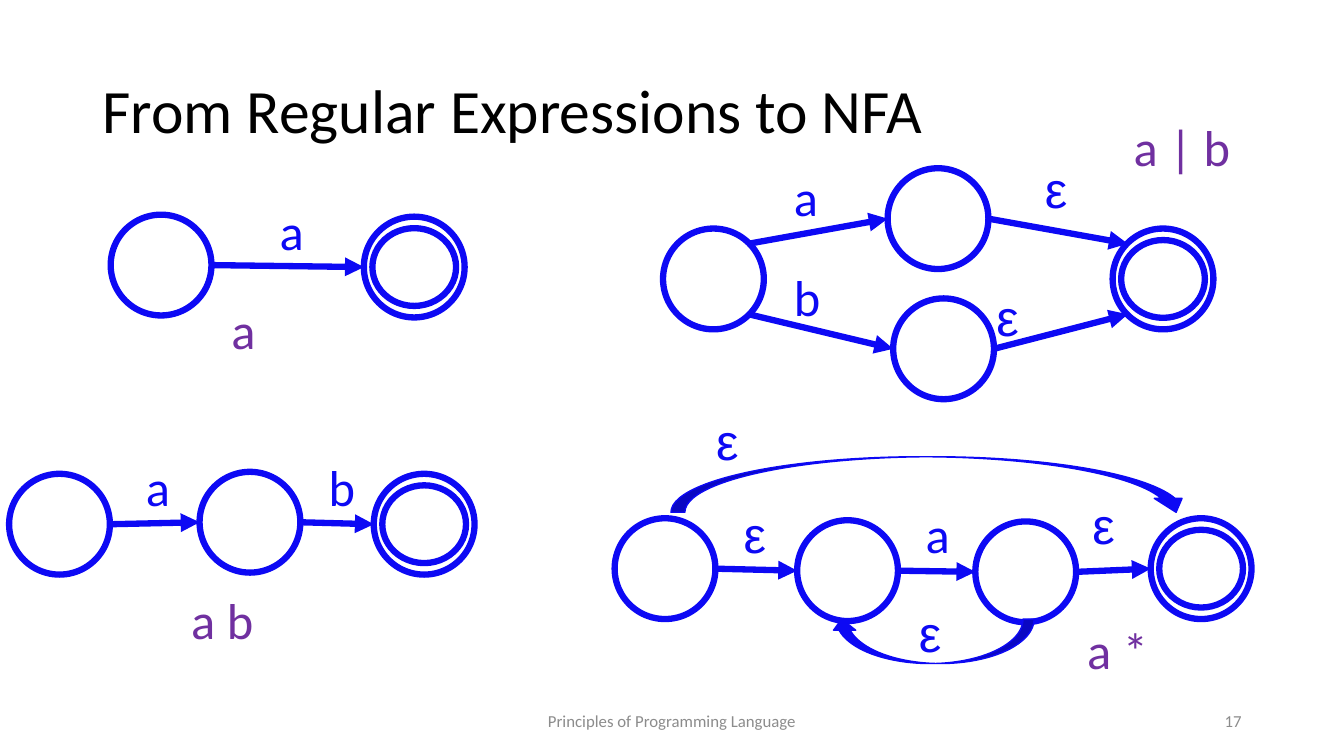
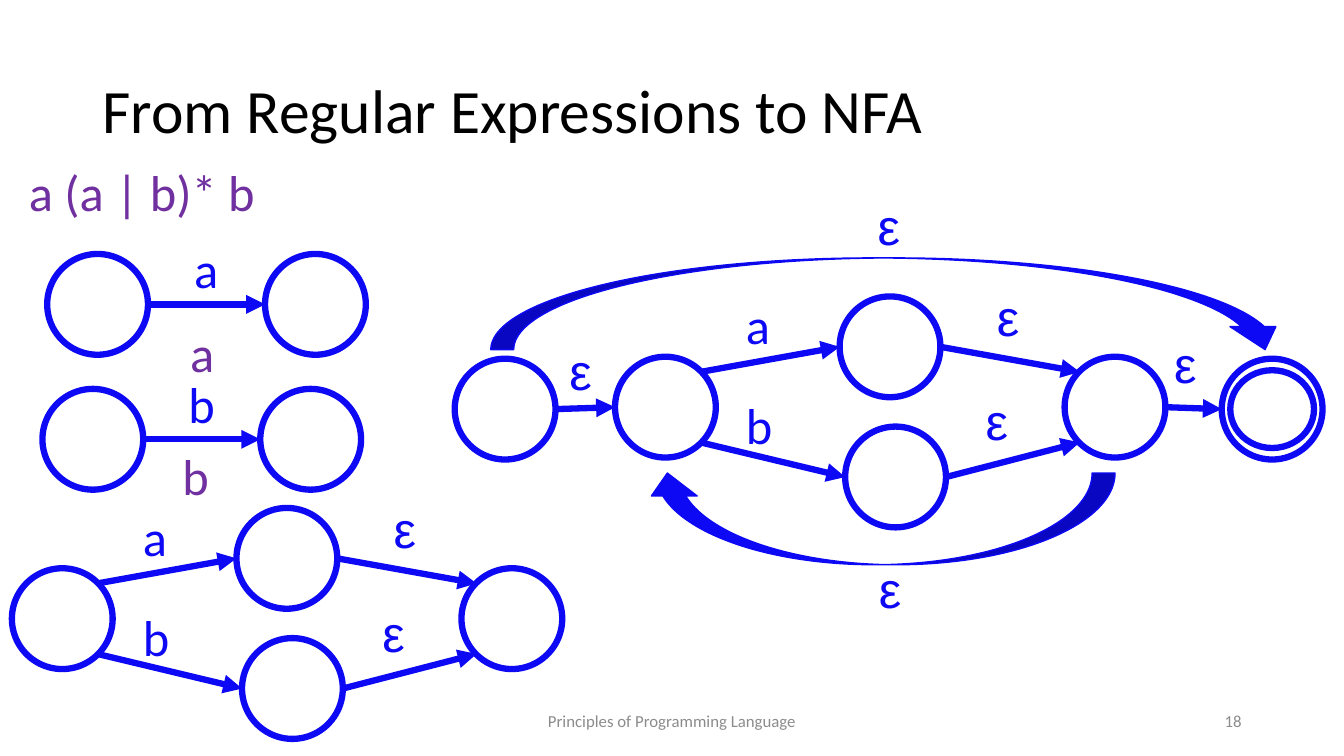
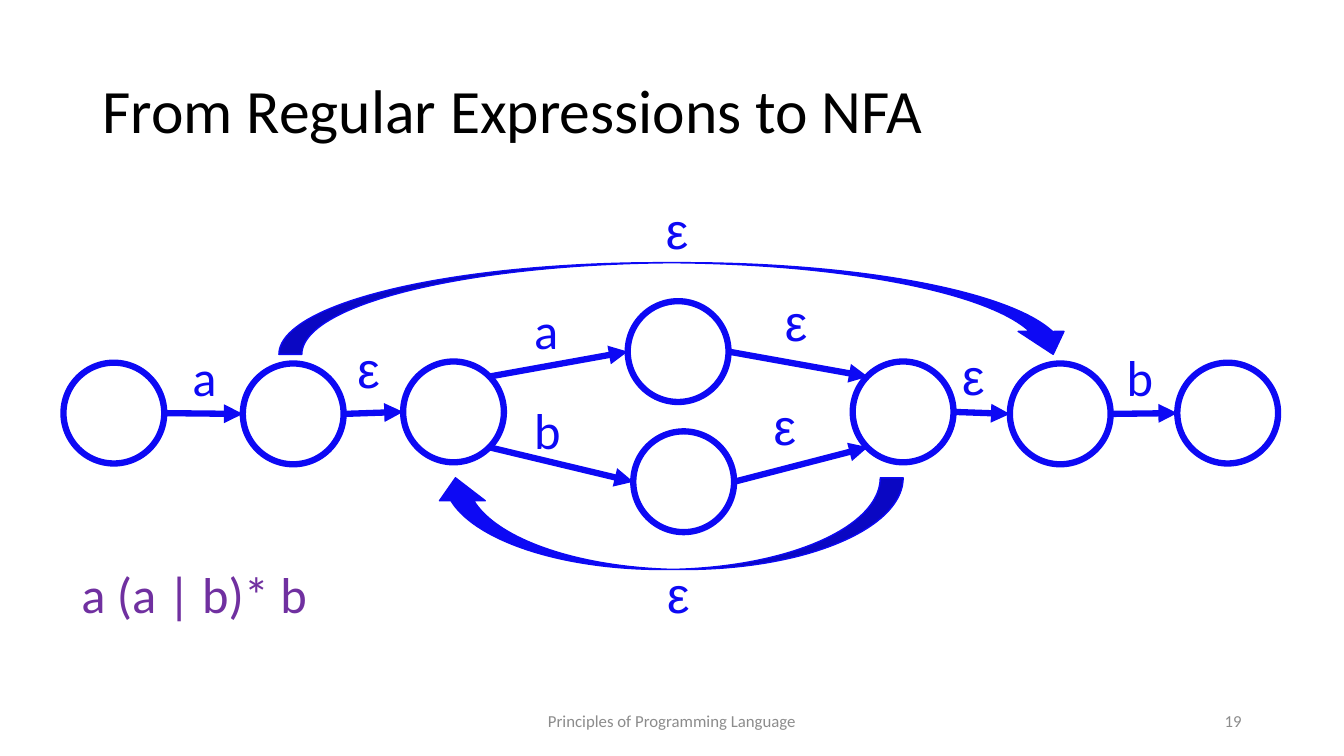
from lxml import etree
from pptx import Presentation
from pptx.dml.color import RGBColor
from pptx.enum.shapes import MSO_CONNECTOR, MSO_SHAPE
from pptx.enum.text import MSO_ANCHOR, MSO_AUTO_SIZE, PP_ALIGN
from pptx.oxml.ns import qn
from pptx.util import Cm, Pt

ELLIPSE = MSO_SHAPE.OVAL
ARC = MSO_SHAPE.CURVED_DOWN_ARROW
STRAIGHT = MSO_CONNECTOR.STRAIGHT
MIDDLE = MSO_ANCHOR.MIDDLE
GROW = MSO_AUTO_SIZE.SHAPE_TO_FIT_TEXT
FIXED = MSO_AUTO_SIZE.NONE
LEFT, CENTER, RIGHT = PP_ALIGN.LEFT, PP_ALIGN.CENTER, PP_ALIGN.RIGHT

COLORS = {"title": "000000", "footer": "8C8C8C", "machine": "0D09F4", "regex": "7030A0"}
FONTS = {
    "title": {"name": "Calibri", "size": Pt(44)},
    "footer": {"name": "Calibri", "size": Pt(12)},
    "machine": {"name": "Calibri", "size": Pt(36)},
    "regex": {"name": "Calibri", "size": Pt(36)},
}
TEXT_WIDTHS = {"a": 1.12, "b": 1.19, "ε": 1.07, "a b": 2.08, "a | b": 2.97,
               "a *": 2.06, "a (a | b)* b": 6.25}
TEXT_HEIGHT = 1.8
STATE = 2.54
INNER_WIDTH, INNER_HEIGHT = 2.11, 1.96
RIM = {"left": (0, 0.5), "right": (1, 0.5),
       "upper left": (0.15, 0.15), "upper right": (0.85, 0.15),
       "lower left": (0.15, 0.85), "lower right": (0.85, 0.85)}


def color(role):
    """Return the colour of a role."""
    return RGBColor.from_string(COLORS[role])


def write(shape, text, role, alignment=LEFT):
    """Write one paragraph in the format of a role."""
    paragraph = shape.text_frame.paragraphs[0]
    paragraph.alignment = alignment
    run = paragraph.add_run()
    run.text = text
    for attribute, value in FONTS[role].items():
        setattr(run.font, attribute, value)
    run.font.color.rgb = color(role)
    return paragraph


def add_label(slide, text, left, top, role="machine"):
    """Add an unwrapped label for a transition or an expression."""
    box = slide.shapes.add_textbox(Cm(left), Cm(top), Cm(TEXT_WIDTHS[text]), Cm(TEXT_HEIGHT))
    box.text_frame.word_wrap = False
    box.text_frame.auto_size = GROW
    paragraph = write(box, text, role)
    if text == "ε":
        paragraph.runs[0].font.name = "Arial"


def add_labels(slide, left, top, labels, role="machine"):
    """Add several labels at offsets from a corner."""
    for text, across, down in labels:
        add_label(slide, text, left + across, top + down, role)


def add_ring(slide, left, top, width, height):
    """Add an unfilled ellipse."""
    ring = slide.shapes.add_shape(ELLIPSE, Cm(left), Cm(top), Cm(width), Cm(height))
    ring.shadow.inherit = False
    ring.fill.background()
    ring.line.color.rgb = color("machine")
    ring.line.width = Pt(4.5)


def add_state(slide, left, top, accepting=False):
    """Add a state and return its corner."""
    add_ring(slide, left, top, STATE, STATE)
    if accepting:
        add_ring(slide, left + (STATE - INNER_WIDTH) / 2, top + (STATE - INNER_HEIGHT) / 2,
                 INNER_WIDTH, INNER_HEIGHT)
    return left, top


def rim_point(state, side):
    """Return a point on the rim of a state."""
    return [Cm(corner + STATE * share) for corner, share in zip(state, RIM[side])]


def add_edge(slide, source, target, source_side="right", target_side="left"):
    """Add an arrow between two states."""
    edge = slide.shapes.add_connector(STRAIGHT, *rim_point(source, source_side),
                                      *rim_point(target, target_side))
    edge.line.color.rgb = color("machine")
    edge.line.width = Pt(4.5)
    properties = edge.element.spPr
    etree.SubElement(properties.find(qn("a:ln")), qn("a:tailEnd"), type="triangle")
    etree.SubElement(properties, qn("a:effectLst"))


def add_arc(slide, left, top, width, height, rotation=0):
    """Add a curved arrow for an empty move."""
    arc = slide.shapes.add_shape(ARC, Cm(left), Cm(top), Cm(width), Cm(height))
    arc.rotation = rotation
    arc.shadow.inherit = False
    arc.fill.solid()
    arc.fill.fore_color.rgb = color("machine")
    arc.line.color.rgb = color("machine")
    arc.line.width = Pt(1)


def add_chain(slide, left, top, offsets, labels, regex, accepting=False):
    """Add states in a row, joined by arrows, with their expression."""
    last = len(offsets) - 1
    states = [add_state(slide, left + across, top + down, accepting and index == last)
              for index, (across, down) in enumerate(offsets)]
    for source, target in zip(states, states[1:]):
        add_edge(slide, source, target)
    add_labels(slide, left, top, labels)
    add_labels(slide, left, top, [regex], "regex")


def add_alternation(slide, left, top, accepting=False, lower_label=(9.09, 2.24)):
    """Add the machine for a | b and return its first and last states."""
    first = add_state(slide, left, top + 1.52)
    upper = add_state(slide, left + 5.66, top)
    lower = add_state(slide, left + 5.8, top + 3.28)
    last = add_state(slide, left + 11.33, top + 1.52, accepting)
    for level, branch in (("upper", upper), ("lower", lower)):
        add_edge(slide, first, branch, source_side=f"{level} right")
        add_edge(slide, branch, last, target_side=f"{level} left")
    add_labels(slide, left, top, [("a", 3.05, -0.18), ("b", 3.05, 2.34),
                                  ("ε", 9.37, -0.38), ("ε", *lower_label)])
    return first, last


def add_loop(slide, left, top, entry_label_top, exit_label_top, accepting=False):
    """Add the machine for (a | b)* and return its first and last states."""
    first = add_state(slide, left, top + 1.57)
    inner_first, inner_last = add_alternation(slide, left + 4.04, top)
    last = add_state(slide, left + 19.33, top + 1.57, accepting)
    add_edge(slide, first, inner_first)
    add_edge(slide, inner_last, last)
    add_arc(slide, left + 0.91, top - 0.97, 20.09, 2.31)
    add_arc(slide, left + 4.78, top + 4.45, 11.86, 2.31, 180)
    add_labels(slide, left, top, [("ε", 10.41, -2.69), ("ε", 10.44, 6.48),
                                  ("ε", 2.64, entry_label_top),
                                  ("ε", 17.88, exit_label_top)])
    return first, last


def add_star(slide, left, top):
    """Add the machine for a *."""
    add_chain(slide, left, top, [(0, 0), (4.6, 0.05), (9.09, 0.08), (13.51, 0)],
              [("ε", 3, -0.51), ("a", 7.59, -0.51), ("ε", 11.79, -0.74),
               ("ε", 2.31, -2.84), ("ε", 7.42, 1.98)], ("a *", 11.66, 2.41), True)
    add_arc(slide, left + 1.42, top - 1.55, 13.08, 1.4)
    add_arc(slide, left + 5.44, top + 2.54, 5.13, 1.12, 180)


def add_footer(slide, text, left, width, alignment):
    """Add one footer text."""
    box = slide.shapes.add_textbox(Cm(left), Cm(17.65), Cm(width), Cm(1.02))
    box.text_frame.word_wrap = True
    box.text_frame.vertical_anchor = MIDDLE
    write(box, text, "footer", alignment)


def add_slide(presentation, number):
    """Add a slide with its title and footers."""
    slide = presentation.slides.add_slide(presentation.slide_layouts[5])
    title = slide.shapes.title
    place = {"left": Cm(2.33), "top": Cm(1.01), "width": Cm(29.21), "height": Cm(3.68)}
    for attribute, value in place.items():
        setattr(title, attribute, value)
    title.text_frame.auto_size = FIXED
    title.text_frame.vertical_anchor = MIDDLE
    write(title, "From Regular Expressions to NFA", "title").line_spacing = 0.9
    add_footer(slide, "Principles of Programming Language", 11.22, 11.43, CENTER)
    add_footer(slide, str(number), 23.92, 7.62, RIGHT)
    return slide


def build_basic_machines(slide):
    """Show the machine of each operator."""
    add_chain(slide, 2.79, 5.41, [(0, 0), (6.38, 0.05)], [("a", 4.01, -0.48)],
              ("a", 2.79, 2.01), True)
    add_chain(slide, 0.23, 11.89, [(0, 0.05), (4.8, 0), (9.19, 0.05)],
              [("a", 3.2, -0.53), ("b", 7.8, -0.53)], ("a b", 4.34, 2.84), True)
    add_alternation(slide, 16.71, 4.24, True, (8.15, 2.84))
    add_label(slide, "a | b", 28.32, 2.79, "regex")
    add_star(slide, 15.49, 13.06)


def build_steps(slide):
    """Show the parts of the example expression."""
    add_label(slide, "a (a | b)* b", 0.48, 3.94, "regex")
    add_chain(slide, 1.19, 6.4, [(0, 0), (5.49, 0)], [("a", 3.45, -0.53)], ("a", 3.35, 1.6))
    add_chain(slide, 1.07, 9.8, [(0, 0), (5.49, 0)], [("b", 3.43, -0.53)], ("b", 3.28, 1.3))
    add_alternation(slide, 0.3, 12.8)
    add_loop(slide, 11.46, 7.47, 0.97, 0.79, True)


def build_whole_machine(slide):
    """Show the joined machine of the example expression."""
    start = add_state(slide, 1.6, 9.14)
    loop_first, loop_last = add_loop(slide, 6.12, 7.59, 0.81, 0.99)
    end = add_state(slide, 29.67, 9.14)
    add_edge(slide, start, loop_first)
    add_edge(slide, loop_last, end)
    add_labels(slide, 0, 8.59, [("a", 4.6, 0), ("b", 28.14, 0)])
    add_label(slide, "a (a | b)* b", 1.8, 14.07, "regex")


def main():
    """Build and save the presentation."""
    presentation = Presentation()
    presentation.slide_width = Cm(33.87)
    presentation.slide_height = Cm(19.05)
    builders = (build_basic_machines, build_steps, build_whole_machine)
    for number, build in enumerate(builders, 17):
        build(add_slide(presentation, number))
    presentation.save("out.pptx")


main()
